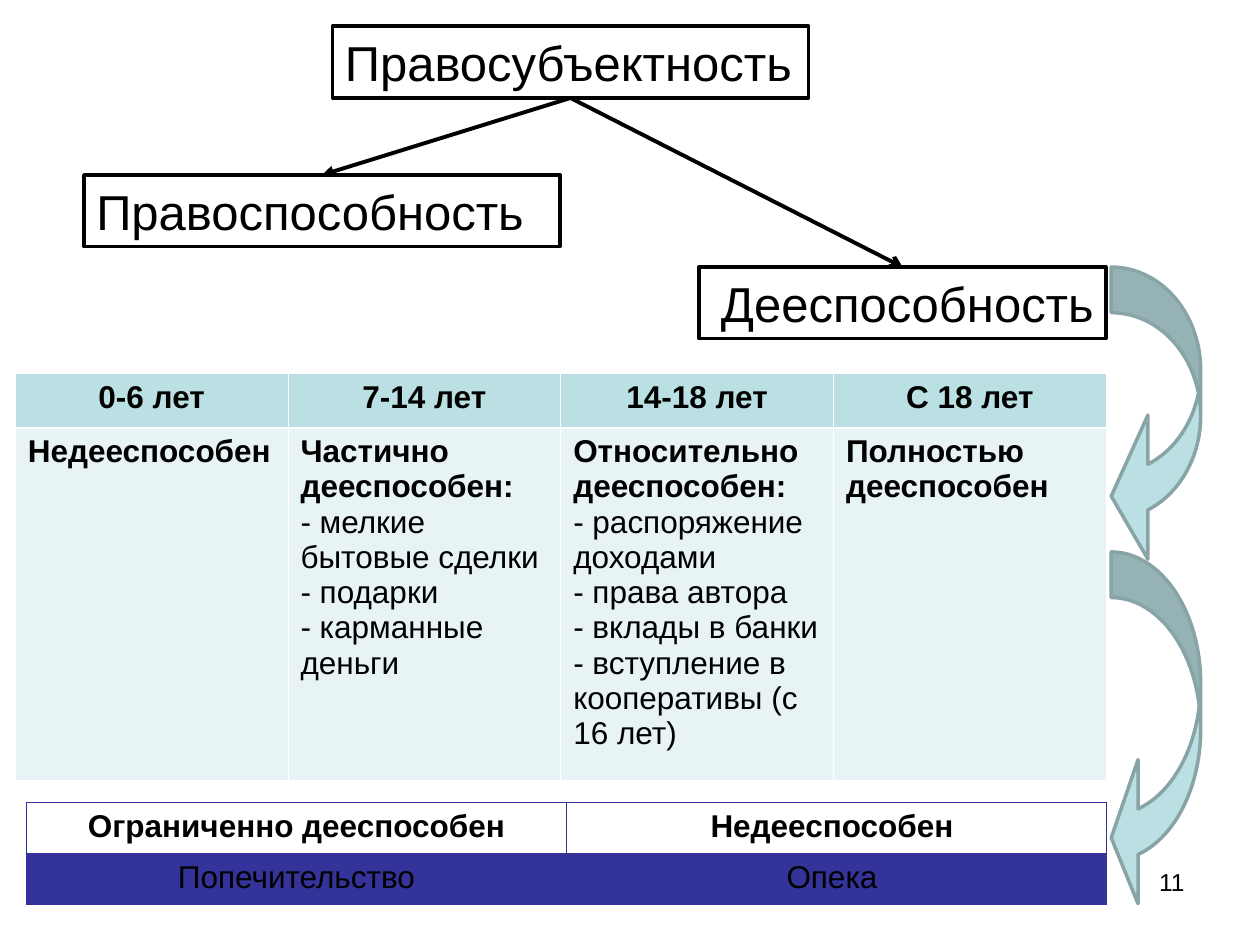
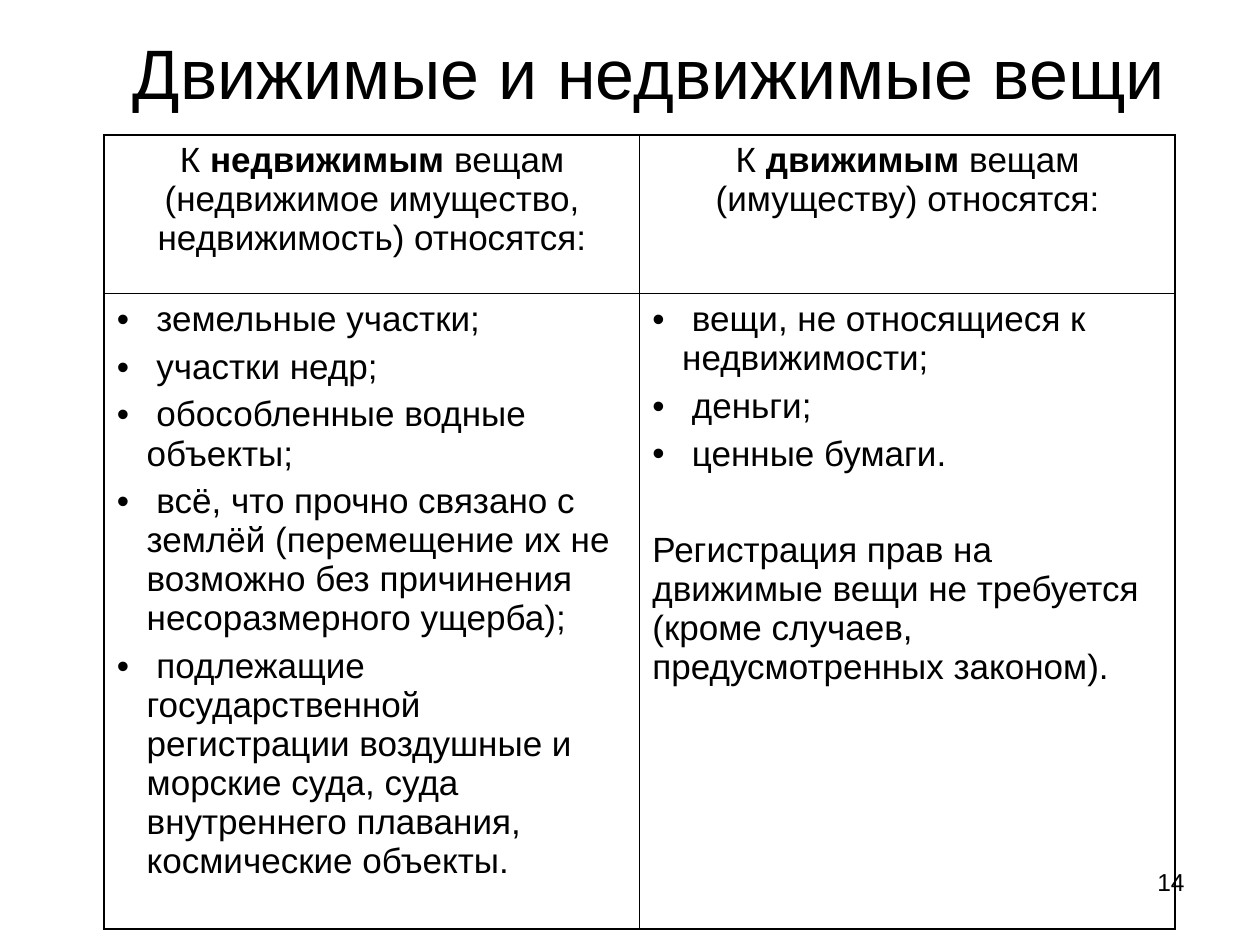
from lxml import etree
from pptx import Presentation
from pptx.dml.color import RGBColor
from pptx.enum import shapes, text
from pptx.oxml import ns
from pptx.util import Pt

# ---- Content: **bold**, a leading "•" makes a bullet ----
PAGE_NUMBERS = ("11", "14")
LEGAL_PERSONALITY = ("Правосубъектность", "l", (190, 15, 272, 41))
BRANCHES = [  # label, alignment, place, arrowhead
    ("Правоспособность", "l", (48, 100, 272, 41), "triangle"),
    ("Дееспособность ", "r", (399.5, 152.6, 232.5, 41), "arrow"),
]
AGES = [
    [["**0-6 лет**"], ["**7-14 лет**"], ["**14-18 лет**"], ["**С 18 лет**"]],
    [
        ["**Недееспособен**"],
        ["**Частично дееспособен:**", "- мелкие бытовые сделки",
         "- подарки", "- карманные деньги"],
        ["**Относительно дееспособен:**", "- распоряжение доходами",
         "- права автора", "- вклады в банки",
         "- вступление в кооперативы (с 16 лет)"],
        ["**Полностью дееспособен**"],
    ],
]
LIMITS = [
    [["**Ограниченно дееспособен**"], ["**Недееспособен **"]],
    [["Попечительство"], ["Опека "]],
]
AGE_ARROWS = [  # place, head length in thousandths of a percent of the width
    ((635, 152.6, 51.1, 172.1), 0.41),
    ((635, 315.4, 51.1, 204.5), 0.30),
]
THINGS_TITLE = "Движимые и недвижимые вещи"
THINGS = [
    [["К **недвижимым** вещам (недвижимое имущество, недвижимость) относятся:"],
     ["К **движимым** вещам (имуществу) относятся:"]],
    [
        ["• земельные участки;", "• участки недр;",
         "• обособленные водные объекты;",
         "• всё, что прочно связано с землёй (перемещение их не возможно "
         "без причинения несоразмерного ущерба);",
         "• подлежащие государственной регистрации воздушные и морские суда, "
         "суда внутреннего плавания, космические объекты."],
        ["• вещи, не относящиеся к недвижимости;", "• деньги;",
         "• ценные бумаги.",
         "Регистрация прав на движимые вещи не требуется "
         "(кроме случаев, предусмотренных законом)."],
    ],
]

# ---- Shared style ----
FONT = "Arial"
BLACK, WHITE, TEAL, PALE_TEAL = "000000", "FFFFFF", "BBE0E3", "E7F3F4"
TEAL_EDGE, INDIGO = "89A4A7", "333399"
ALIGN = {"l": text.PP_ALIGN.LEFT, "c": text.PP_ALIGN.CENTER, "r": text.PP_ALIGN.RIGHT}
BULLET_INDENT = 17


def rgb(value):
    return RGBColor.from_string(value)


def points(place):
    return [Pt(v) for v in place]


def sub(parent, tag, **attributes):
    return etree.SubElement(parent, ns.qn(tag), **attributes)


def add_bullet(paragraph):
    props = paragraph._p.get_or_add_pPr()
    props.set("marL", str(Pt(BULLET_INDENT)))
    props.set("indent", str(-Pt(BULLET_INDENT)))
    sub(props, "a:buFont", typeface=FONT)
    sub(props, "a:buChar", char="•")


def write(frame, paragraphs, size, align="l", gap=0, break_gap=0):
    """Fill a frame; break_gap parts plain text from bullets above it."""
    frame.word_wrap = True
    after_bullet = False
    for i, line in enumerate(paragraphs):
        paragraph = frame.add_paragraph() if i else frame.paragraphs[0]
        bulleted = line.startswith("•")
        if bulleted:
            add_bullet(paragraph)
        paragraph.alignment = ALIGN[align]
        if i:
            leaves_list = after_bullet and not bulleted
            paragraph.space_before = Pt(break_gap if leaves_list else gap)
        for j, part in enumerate(line.removeprefix("•").split("**")):
            if part:
                run = paragraph.add_run()
                run.text = part
                run.font.name, run.font.size = FONT, Pt(size)
                run.font.bold = j % 2 == 1
                run.font.color.rgb = rgb(BLACK)
        after_bullet = bulleted


def add_text(slide, place, line, size, align, anchor=text.MSO_ANCHOR.TOP):
    frame = slide.shapes.add_textbox(*points(place)).text_frame
    write(frame, [line], size, align)
    frame.vertical_anchor = anchor


def add_outlined(slide, kind, place, fill, edge):
    shape = slide.shapes.add_shape(kind, *points(place))
    shape.shadow.inherit = False
    shape.fill.solid()
    shape.fill.fore_color.rgb = rgb(fill)
    shape.line.color.rgb = rgb(edge)
    shape.line.width = Pt(2)
    return shape


def add_label(slide, label, align, place):
    box = add_outlined(slide, shapes.MSO_SHAPE.RECTANGLE, place, WHITE, BLACK)
    write(box.text_frame, [label], 28, align)
    box.text_frame.vertical_anchor = text.MSO_ANCHOR.TOP


def add_branch_arrow(slide, parent, child, head):
    """Join the parent's bottom centre to the child's top centre."""
    ends = (parent[0] + parent[2] / 2, parent[1] + parent[3],
            child[0] + child[2] / 2, child[1])
    arrow = slide.shapes.add_connector(shapes.MSO_CONNECTOR.STRAIGHT, *points(ends))
    arrow.line.color.rgb = rgb(BLACK)
    arrow.line.width = Pt(2.25)
    sub(arrow.line._get_or_add_ln(), "a:tailEnd", type=head)
    sub(arrow._element.spPr, "a:effectLst")


def set_border(cell, side, color, width):
    line = sub(cell._tc.get_or_add_tcPr(), f"a:ln{side}", w=str(Pt(width)))
    sub(sub(line, "a:solidFill"), "a:srgbClr", val=color)


def fill_cell(cell, color, alpha):
    if color is None:
        cell.fill.background()
        return
    cell.fill.solid()
    cell.fill.fore_color.rgb = rgb(color)
    if alpha < 100:
        tint = cell._tc.tcPr.find(".//" + ns.qn("a:srgbClr"))
        sub(tint, "a:alpha", val=str(alpha * 1000))


def add_grid(slide, rows, place, heights, size, aligns, fills, border,
             outer=0.45, middle=0.45, alpha=100, gap=0, break_gap=0):
    """Two-row table; middle is the width of the rule under the header."""
    left, top, width = place
    count = len(rows[0])
    table = slide.shapes.add_table(
        len(rows), count, *points((left, top, width, sum(heights)))).table
    table.first_row = table.horz_banding = False
    for column in table.columns:
        column.width = Pt(width / count)
    for r, cells in enumerate(rows):
        table.rows[r].height = Pt(heights[r])
        for c, paragraphs in enumerate(cells):
            cell = table.cell(r, c)
            write(cell.text_frame, paragraphs, size, aligns[r], gap, break_gap)
            set_border(cell, "L", border, outer if c == 0 else 0.45)
            set_border(cell, "R", border, outer if c == count - 1 else 0.45)
            set_border(cell, "T", border, outer if r == 0 else middle)
            set_border(cell, "B", border, outer if r == len(rows) - 1 else middle)
            fill_cell(cell, fills[r], alpha)


def add_age_arrow(slide, place, head_length):
    arrow = add_outlined(slide, shapes.MSO_SHAPE.CURVED_LEFT_ARROW, place, TEAL, TEAL_EDGE)
    for i, share in enumerate((0.51, 1.61, head_length)):  # band, head width, head length
        arrow.adjustments[i] = share


def add_page(deck, number):
    slide = deck.slides.add_slide(deck.slide_layouts[6])
    add_text(slide, (516, 491.8, 168, 37.4), number, 14, "r")
    return slide


def build_capacity(slide):
    add_label(slide, *LEGAL_PERSONALITY)
    for label, align, place, head in BRANCHES:
        add_label(slide, label, align, place)
        add_branch_arrow(slide, LEGAL_PERSONALITY[2], place, head)
    add_grid(slide, AGES, (8.7, 213.4, 623.5), (31, 201.6), 18, "cl",
             (TEAL, PALE_TEAL), WHITE, middle=1.47)
    add_grid(slide, LIMITS, (15.2, 458.4, 617), (29.2, 29.2), 18, "cc",
             (None, INDIGO), INDIGO, middle=0.96, alpha=20)
    for place, head_length in AGE_ARROWS:
        add_age_arrow(slide, place, head_length)


def build_things(slide):
    add_text(slide, (64.8, 15, 612, 52), THINGS_TITLE, 40, "c", text.MSO_ANCHOR.MIDDLE)
    add_grid(slide, THINGS, (59.6, 77, 612), (90.7, 339), 20, "cl",
             (None, None), BLACK, outer=1.08, gap=5, break_gap=33)


def main():
    deck = Presentation()
    deck.slide_width, deck.slide_height = Pt(720), Pt(540)
    for number, build in zip(PAGE_NUMBERS, (build_capacity, build_things)):
        build(add_page(deck, number))
    deck.save("out.pptx")


if __name__ == "__main__":
    main()
